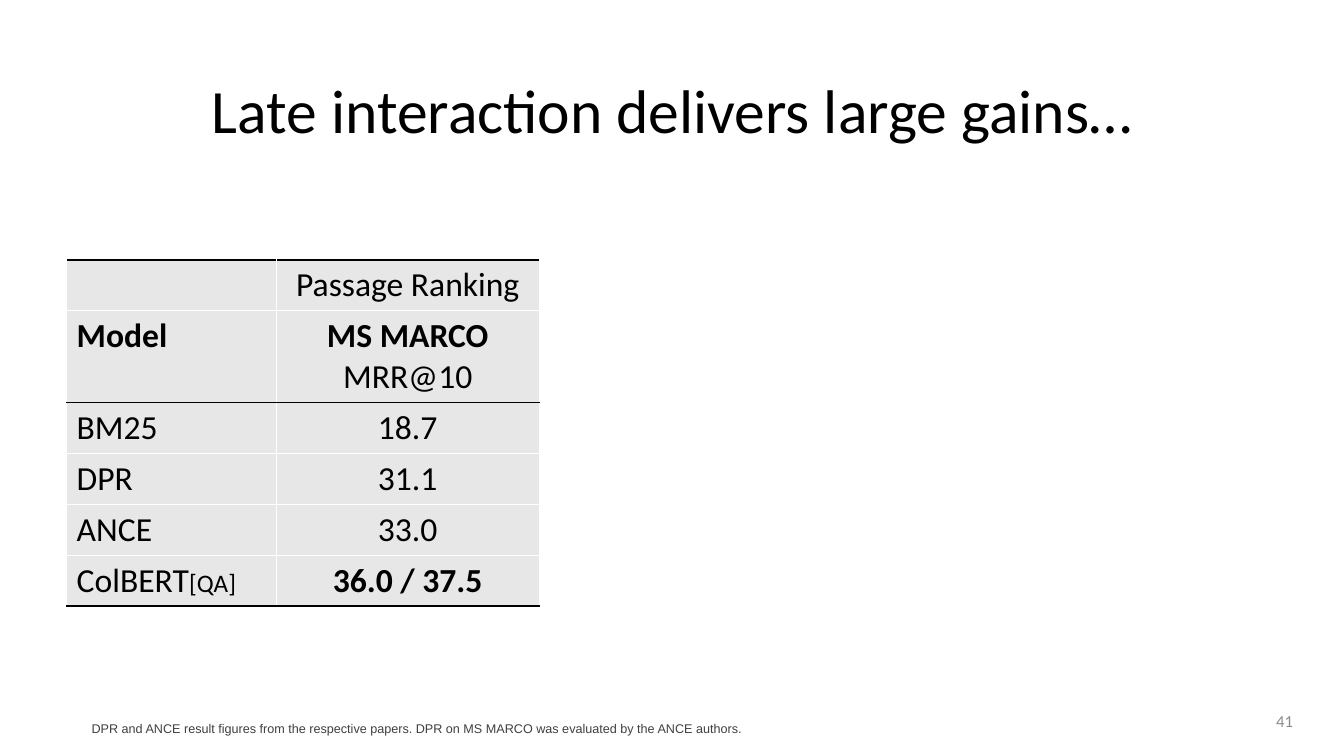
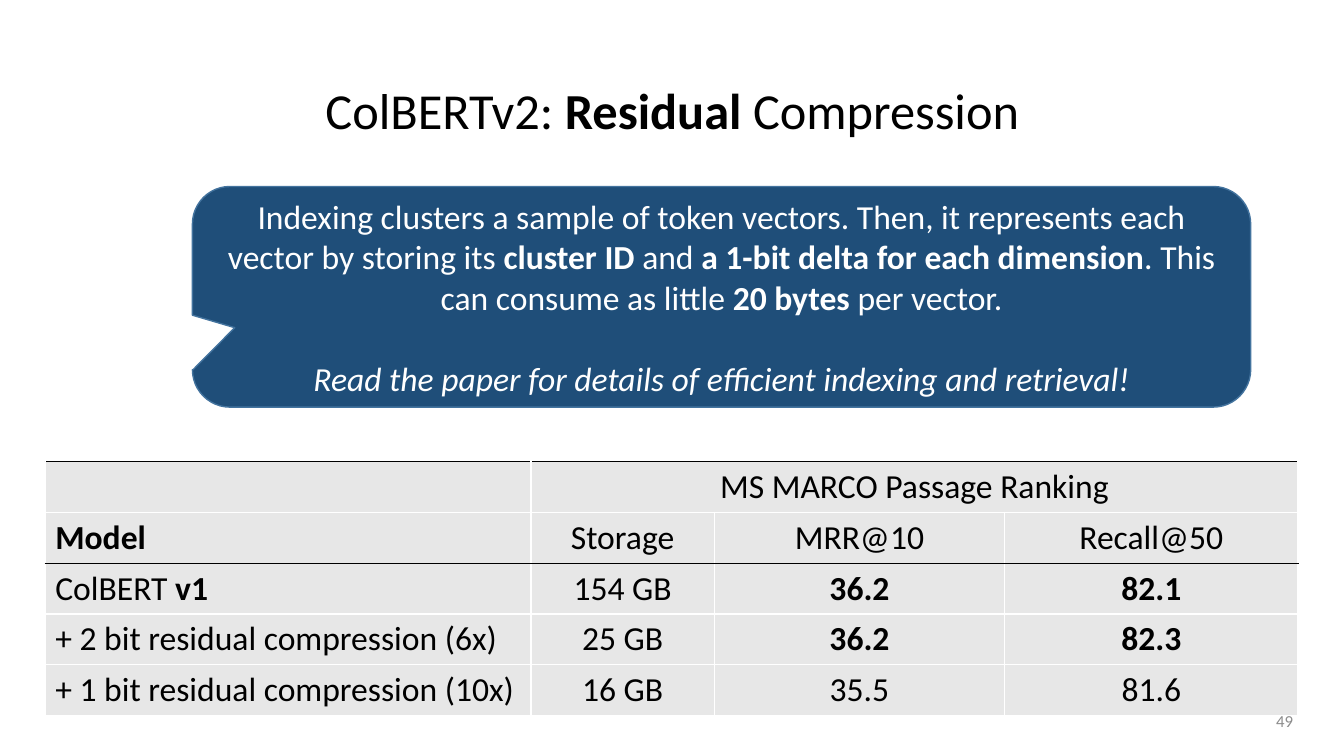
from dataclasses import dataclass

import pptx
import pptx.dml.color
import pptx.enum.shapes
import pptx.enum.text
import pptx.oxml
import pptx.oxml.ns
import pptx.slide
import pptx.text.text
import pptx.util

Cm = pptx.util.Cm
Pt = pptx.util.Pt
RGBColor = pptx.dml.color.RGBColor
Align = pptx.enum.text.PP_ALIGN
Anchor = pptx.enum.text.MSO_ANCHOR

# Shared look
BLACK = RGBColor(0x00, 0x00, 0x00)
WHITE = RGBColor(0xFF, 0xFF, 0xFF)
CELL_GREY = RGBColor(0xE7, 0xE7, 0xE7)
NUMBER_GREY = RGBColor(0x8C, 0x8C, 0x8C)
NOTE_GREY = RGBColor(0x40, 0x40, 0x40)
CALLOUT_BLUE = RGBColor(0x1F, 0x4E, 0x79)
CALLOUT_EDGE = RGBColor(0x43, 0x73, 0x9E)
BODY_FONT = "Calibri"
NOTE_FONT = "Arial"
BODY_SIZE = 24
LINE_HEIGHT = 1.04
ROW_PADDING = 0.24


@dataclass(frozen=True)
class Span:
    text: str
    bold: bool = False
    italic: bool = False
    size: float | None = None


@dataclass(frozen=True)
class Style:
    size: float = BODY_SIZE
    color: RGBColor = BLACK
    align: Align = Align.LEFT
    font: str = BODY_FONT
    line_spacing: float | None = None
    space_before: float = 0


@dataclass(frozen=True)
class Area:
    left: float
    top: float
    width: float
    height: float

    def lengths(self) -> tuple[Cm, Cm, Cm, Cm]:
        return Cm(self.left), Cm(self.top), Cm(self.width), Cm(self.height)


Line = tuple[Span, ...]
Cell = tuple[Line, ...]


@dataclass(frozen=True)
class ResultTable:
    left: float
    top: float
    widths: tuple[float, ...]
    rows: tuple[tuple[Cell, ...], ...]
    black_rules: frozenset[int]  # horizontal rules, 0 is the top edge


TITLE_AREA = Area(2.34, 1.02, 29.21, 3.68)
NUMBER_AREA = Area(31.27, 17.65, 1.57, 1.02)
NOTE_AREA = Area(2.06, 18.03, 26.77, 0.64)
CALLOUT_AREA = Area(4.85, 4.7, 26.67, 5.56)


def plain(text: str) -> Cell:
    return ((Span(text),),)


def bold(text: str) -> Cell:
    return ((Span(text, bold=True),),)


EMPTY: Cell = ((),)


# Text
def write_para(para: pptx.text.text._Paragraph, line: Line, style: Style) -> None:
    para.alignment = style.align
    if style.line_spacing:
        para.line_spacing = style.line_spacing
    if style.space_before:
        para.space_before = Pt(style.space_before)
    para.font.name = style.font
    para.font.size = Pt(style.size)
    para.font.color.rgb = style.color
    for span in line:
        run = para.add_run()
        run.text = span.text
        if span.bold:
            run.font.bold = True
        if span.italic:
            run.font.italic = True
        if span.size:
            run.font.size = Pt(span.size)


def write_lines(frame: pptx.text.text.TextFrame, lines: Cell, style: Style) -> None:
    for index, line in enumerate(lines):
        para = frame.add_paragraph() if index else frame.paragraphs[0]
        write_para(para, line, style)


def add_text(page: pptx.slide.Slide, area: Area, line: Line, style: Style,
             anchor: Anchor = Anchor.MIDDLE) -> None:
    box = page.shapes.add_textbox(*area.lengths())
    box.text_frame.word_wrap = True
    box.text_frame.vertical_anchor = anchor
    write_para(box.text_frame.paragraphs[0], line, style)


# Tables
def add_border(cell: pptx.table._Cell, edge: str, color: RGBColor) -> None:
    cell._tc.get_or_add_tcPr().append(pptx.oxml.parse_xml(
        f'<a:ln{edge} {pptx.oxml.ns.nsdecls("a")} w="{Pt(1)}"><a:solidFill>'
        f'<a:srgbClr val="{color}"/></a:solidFill></a:ln{edge}>'))


def add_table(page: pptx.slide.Slide, result: ResultTable) -> pptx.table.Table:
    heights = [max(len(cell) for cell in row) * LINE_HEIGHT + ROW_PADDING
               for row in result.rows]
    area = Area(result.left, result.top, sum(result.widths), sum(heights))
    table = page.shapes.add_table(
        len(heights), len(result.widths), *area.lengths()).table
    table.first_row = False
    table.horz_banding = False
    for column, width in zip(table.columns, result.widths):
        column.width = Cm(width)
    for row_index, row in enumerate(result.rows):
        table.rows[row_index].height = Cm(heights[row_index])
        rules = [BLACK if rule in result.black_rules else WHITE
                 for rule in (row_index, row_index + 1)]
        for column_index, lines in enumerate(row):
            cell = table.cell(row_index, column_index)
            align = Align.CENTER if column_index else Align.LEFT
            write_lines(cell.text_frame, lines, Style(align=align))
            for edge, color in zip("LRTB", (WHITE, WHITE, *rules)):
                add_border(cell, edge, color)
            cell.fill.solid()
            cell.fill.fore_color.rgb = CELL_GREY
    return table


# Pages
def add_page(deck: pptx.presentation.Presentation, title: Line,
             title_size: float, number: int) -> pptx.slide.Slide:
    page = deck.slides.add_slide(deck.slide_layouts[6])
    add_text(page, TITLE_AREA, title,
             Style(title_size, align=Align.CENTER, line_spacing=0.9))
    add_text(page, NUMBER_AREA, (Span(str(number)),),
             Style(12, NUMBER_GREY, Align.RIGHT))
    return page


def add_callout(page: pptx.slide.Slide) -> None:
    callout = page.shapes.add_shape(
        pptx.enum.shapes.MSO_SHAPE.ROUNDED_RECTANGULAR_CALLOUT,
        *CALLOUT_AREA.lengths())
    for index, value in enumerate((-0.46, 0.14, 0.17)):
        callout.adjustments[index] = value
    callout.shadow.inherit = False
    callout.fill.solid()
    callout.fill.fore_color.rgb = CALLOUT_BLUE
    callout.line.color.rgb = CALLOUT_EDGE
    callout.line.width = Pt(1)
    frame = callout.text_frame
    frame.word_wrap = True
    frame.vertical_anchor = Anchor.MIDDLE
    write_para(frame.paragraphs[0], (
        Span("Indexing clusters a sample of token vectors. Then, it represents "
             "each vector by storing its "),
        Span("cluster ID ", bold=True),
        Span("and "),
        Span("a 1-bit delta for each dimension", bold=True),
        Span(". This can consume as little "),
        Span("20 bytes ", bold=True),
        Span("per vector."),
    ), Style(color=WHITE, align=Align.CENTER))
    write_para(frame.add_paragraph(), (
        Span("Read the paper for details of efficient indexing and retrieval!",
             italic=True),
    ), Style(color=WHITE, align=Align.CENTER, space_before=29))


def add_gains_page(deck: pptx.presentation.Presentation) -> None:
    page = add_page(
        deck, (Span("Late interaction delivers large gains…"),), 44, 41)
    add_table(page, ResultTable(1.68, 6.55, (5.28, 6.63), (
        (EMPTY, plain("Passage Ranking")),
        (bold("Model"), bold("MS MARCO") + plain("MRR@10")),
        (plain("BM25"), plain("18.7")),
        (plain("DPR"), plain("31.1")),
        (plain("ANCE"), plain("33.0")),
        (((Span("ColBERT"), Span("[QA]", size=18)),), bold("36.0 / 37.5")),
    ), frozenset({0, 2, 6})))
    add_text(page, NOTE_AREA, (
        Span("DPR and ANCE result figures from the respective papers. "
             "DPR on MS MARCO was evaluated by the ANCE authors."),
    ), Style(9, NOTE_GREY, font=NOTE_FONT), Anchor.TOP)


def add_compression_page(deck: pptx.presentation.Presentation) -> None:
    page = add_page(deck, (
        Span("ColBERTv2: "), Span("Residual", bold=True), Span(" Compression"),
    ), 36, 49)
    table = add_table(page, ResultTable(1.14, 11.63, (12.24, 4.62, 7.32, 7.39), (
        (EMPTY, plain("MS MARCO Passage Ranking"), EMPTY, EMPTY),
        (bold("Model"), plain("Storage"), plain("MRR@10"), plain("Recall@50")),
        (((Span("ColBERT "), Span("v1", bold=True)),),
         plain("154 GB"), bold("36.2"), bold("82.1")),
        (plain("+ 2 bit residual compression (6x)"),
         plain("25 GB"), bold("36.2"), bold("82.3")),
        (plain("+ 1 bit residual compression (10x)"),
         plain("16 GB"), plain("35.5"), plain("81.6")),
    ), frozenset({0, 2})))
    table.cell(0, 1).merge(table.cell(0, 3))
    add_callout(page)


def main() -> None:
    deck = pptx.Presentation()
    deck.slide_width = Cm(33.87)
    deck.slide_height = Cm(19.05)
    add_gains_page(deck)
    add_compression_page(deck)
    deck.save("out.pptx")


if __name__ == "__main__":
    main()
